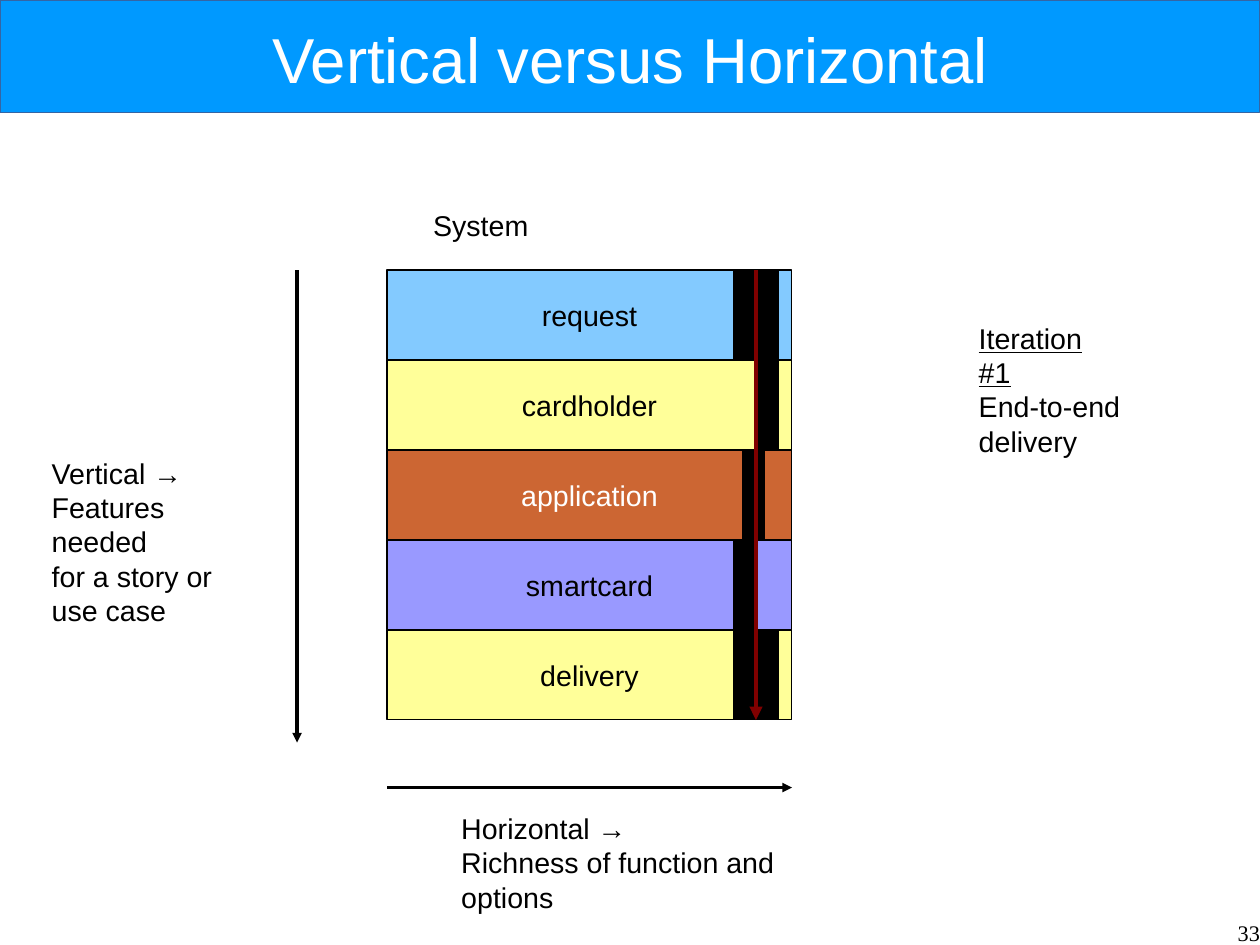
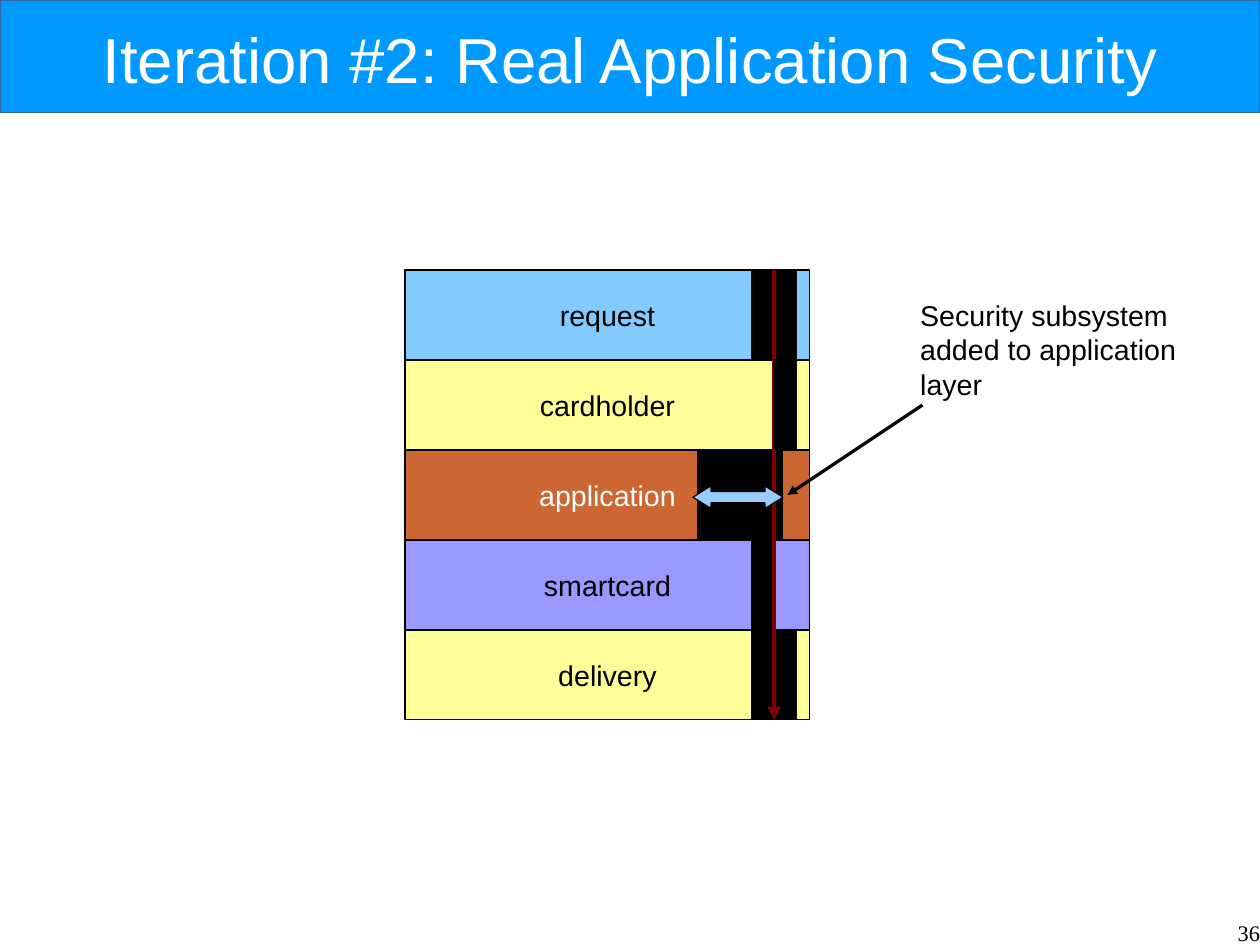
import pptx
import pptx.util
import pptx.dml.color
import pptx.enum.shapes
import pptx.enum.text
import pptx.oxml

# Shared grid: the slide is 56 columns by 42 rows of 5 mm
COLS, ROWS = 56, 42
CELL = pptx.util.Mm(5)

# Shared colours
BLACK, WHITE = "000000", "FFFFFF"
BAND, BAND_LINE = "0099FF", "3465A4"
FLOW, DOUBLE_ARROW = "800000", "99CCFF"

# System stack: name, fill and text colour of each layer
LAYERS = [
    ("request", "83CAFF", BLACK),
    ("cardholder", "FFFF99", BLACK),
    ("application", "CC6633", WHITE),
    ("smartcard", "9999FF", BLACK),
    ("delivery", "FFFF99", BLACK),
]
STACK_TOP, STACK_W, LAYER_H = 12, 18, 4

SHAPE = pptx.enum.shapes.MSO_SHAPE
ALIGN = pptx.enum.text.PP_ALIGN
ANCHOR = pptx.enum.text.MSO_ANCHOR


def grid(*cells):
    return [round(c * CELL) for c in cells]


def rgb(color):
    return pptx.dml.color.RGBColor.from_string(color)


def write(tf, lines, size=18, color=BLACK, font="Arial", align=ALIGN.LEFT):
    for i, line in enumerate(lines):
        p = tf.add_paragraph() if i else tf.paragraphs[0]
        p.text = line
        p.alignment = align
        p.font.size = pptx.util.Pt(size)
        p.font.name = font
        p.font.color.rgb = rgb(color)


def add_text(s, x, y, w, h, lines, padded=True, **style):
    tf = s.shapes.add_textbox(*grid(x, y, w, h)).text_frame
    tf.word_wrap = not padded
    if not padded:
        tf.margin_left = tf.margin_right = tf.margin_top = tf.margin_bottom = 0
    write(tf, lines, **style)
    return tf


def add_block(s, x, y, w, h, fill, line=BLACK, kind=SHAPE.RECTANGLE):
    sp = s.shapes.add_shape(kind, *grid(x, y, w, h))
    sp.shadow.inherit = False
    sp.fill.solid()
    sp.fill.fore_color.rgb = rgb(fill)
    sp.line.color.rgb = rgb(line)
    sp.line.width = 0
    return sp


def add_arrow(s, x1, y1, x2, y2, color=BLACK, width=0):
    arrow = s.shapes.add_connector(
        pptx.enum.shapes.MSO_CONNECTOR.STRAIGHT, *grid(x1, y1, x2, y2))
    arrow.line.color.rgb = rgb(color)
    arrow.line.width = pptx.util.Pt(width)
    ns = pptx.oxml.ns.nsdecls("a")
    arrow.line._get_or_add_ln().append(
        pptx.oxml.parse_xml(f'<a:tailEnd {ns} type="triangle"/>'))
    arrow._element.spPr.append(pptx.oxml.parse_xml(f"<a:effectLst {ns}/>"))
    return arrow


def add_slide(prs, title, number):
    s = prs.slides.add_slide(prs.slide_layouts[6])
    add_block(s, 0, 0, COLS, 5, BAND, BAND_LINE)
    tf = add_text(s, 2.8, 0.45, COLS - 5.6, 4.3, [title], padded=False,
                  size=40, color=WHITE, align=ALIGN.CENTER)
    tf.vertical_anchor = ANCHOR.MIDDLE
    add_text(s, 43, 40.85, COLS - 43, 1.1, [number], padded=False,
             size=14, font="Times New Roman", align=ALIGN.RIGHT)
    return s


def add_slot(s, left, row, offset, width):
    return add_block(s, left + offset, STACK_TOP + row * LAYER_H,
                     width, LAYER_H, BLACK)


def add_stack(s, left, slots):
    """Draw the layers, the built slot of each given row and the flow through."""
    for row, (name, fill, color) in enumerate(LAYERS):
        sp = add_block(s, left, STACK_TOP + row * LAYER_H, STACK_W, LAYER_H, fill)
        sp.text_frame.vertical_anchor = ANCHOR.MIDDLE
        write(sp.text_frame, [name], color=color, align=ALIGN.CENTER)
    built = {row: add_slot(s, left, row, *slot) for row, slot in slots.items()}
    flow = add_arrow(s, left, STACK_TOP, left, STACK_TOP, FLOW, 2.83)
    flow.begin_connect(built[0], 0)
    flow.end_connect(built[len(LAYERS) - 1], 2)


def main():
    prs = pptx.Presentation()
    prs.slide_width, prs.slide_height = grid(COLS, ROWS)

    # Offset and width of the slots that both iterations share
    common = {0: (15.4, 2), 3: (15.4, 1), 4: (15.4, 2)}
    cardholder = (16.4, 1)

    # Vertical versus horizontal
    s = add_slide(prs, "Vertical versus Horizontal", "33")
    left = 17.2
    add_stack(s, left, {**common, 1: cardholder, 2: (15.8, 1)})
    add_arrow(s, 13.2, STACK_TOP, 13.2, 33)
    add_arrow(s, left, 35, left + STACK_W, 35)
    add_text(s, 18.75, 9, 5.25, 1.95, ["System"])
    add_text(s, 1.8, 20, 10.6, 6.2,
             ["Vertical →", "Features needed", "for a story or", "use case"])
    add_text(s, 20, 35.8, 19.35, 3.35,
             ["Horizontal →", "Richness of function and options"])
    tf = add_text(s, 43, 14, 7.35, 4.8, ["Iteration #1", "End-to-end", "delivery"])
    tf.paragraphs[0].font.underline = True

    # Second iteration: the application slot is widened
    s = add_slide(prs, "Iteration #2: Real Application Security", "36")
    left = 18
    add_stack(s, left, {**common, 2: (13, 3.8)})
    add_slot(s, left, 1, *cardholder)
    add_arrow(s, 41, 18, 35, 22)
    add_text(s, 40.4, 13, 12.4, 4.8,
             ["Security subsystem", "added to application", "layer"])
    sp = add_block(s, 30.8, 21.6, 4, 1, DOUBLE_ARROW, kind=SHAPE.LEFT_RIGHT_ARROW)
    sp.adjustments[0], sp.adjustments[1] = 0.5, 0.8

    prs.save("out.pptx")


if __name__ == "__main__":
    main()
